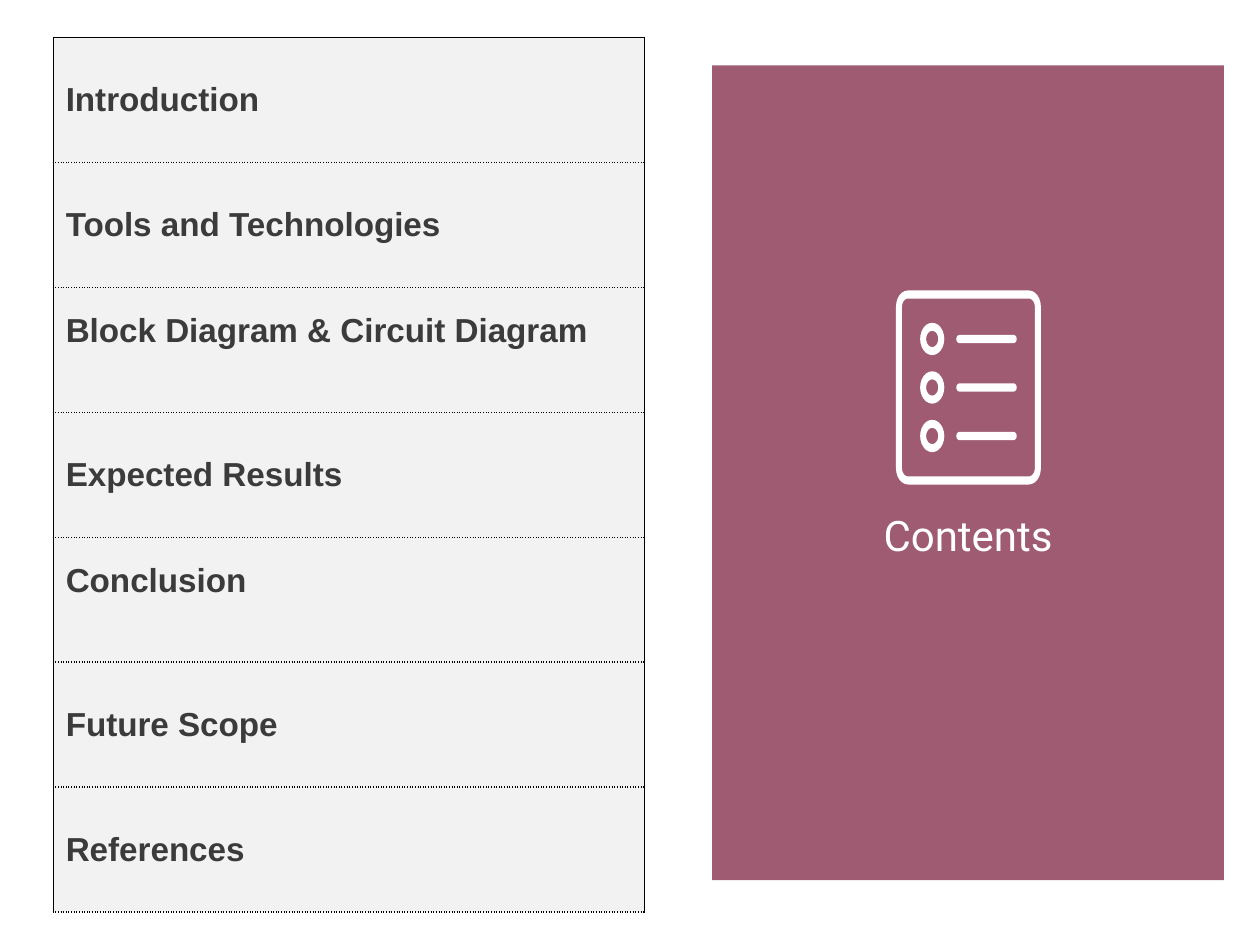
from math import cos, pi, sin

from lxml.etree import SubElement
from pptx import Presentation
from pptx.dml.color import RGBColor
from pptx.enum.shapes import MSO_SHAPE
from pptx.enum.text import MSO_ANCHOR, MSO_AUTO_SIZE, PP_ALIGN
from pptx.oxml import parse_xml
from pptx.oxml.ns import nsdecls, qn
from pptx.util import Pt

PLUM = RGBColor(0x9F, 0x5B, 0x72)
WHITE = RGBColor(0xFF, 0xFF, 0xFF)
PALE = RGBColor(0xF2, 0xF2, 0xF2)
DARK = RGBColor(0x3B, 0x3B, 0x3B)
BLACK = RGBColor(0, 0, 0)

TOPICS = [
    "Introduction",
    "Tools and Technologies",
    "Block Diagram & Circuit Diagram",
    "Expected Results",
    "Conclusion",
    "Future Scope",
    "References",
]
RAISED = {2, 4}  # rows whose text sits above the middle


def apply(obj, **vals):
    for key, val in vals.items():
        setattr(obj, key, val)


def oval_box(x, y, w, h, rx, ry):
    """Points of a box whose corners are quarter ellipses."""
    pts = []
    hubs = [(x + w - rx, y + h - ry), (x + rx, y + h - ry),
            (x + rx, y + ry), (x + w - rx, y + ry)]
    for turn, (cx, cy) in enumerate(hubs):
        for step in range(7):
            ang = (turn + step / 6) * pi / 2
            pts.append((cx + rx * cos(ang), cy + ry * sin(ang)))
    return pts


class Deck:
    label = dict(name="Arial", size=Pt(19), bold=True)
    head = dict(name="Roboto", size=Pt(24), bold=False)

    def __init__(self, wide, high):
        self.prs = Presentation()
        apply(self.prs, slide_width=Pt(wide), slide_height=Pt(high))
        self.slide = self.prs.slides.add_slide(self.prs.slide_layouts[5])
        self.shapes = self.slide.shapes

    def paint(self, shape, color):
        shape.shadow.inherit = False
        shape.fill.solid()
        shape.fill.fore_color.rgb = color
        shape.line.fill.background()

    def panel(self, x, y, w, h, color):
        box = self.shapes.add_shape(MSO_SHAPE.RECTANGLE, Pt(x), Pt(y), Pt(w), Pt(h))
        self.paint(box, color)

    def outline(self, color, *loops):
        """Fill the first loop; later loops are holes in it."""
        loops = [[(Pt(x), Pt(y)) for x, y in loop] for loop in loops]
        form = self.shapes.build_freeform(*loops[0][0])
        form.add_line_segments(loops[0][1:])
        for loop in loops[1:]:
            form.move_to(*loop[0])
            form.add_line_segments(loop[1:])
        self.paint(form.convert_to_shape(), color)

    def icon(self, x, y, w, h, color):
        """Draw a checklist on a grid of 24 by 24 units."""
        u, v = w / 24, h / 24

        def loop(cx, cy, cw, ch, r):
            return oval_box(x + cx * u, y + cy * v, cw * u, ch * v, r * u, r * v)

        self.outline(color, loop(0, 0, 24, 24, 2), loop(1, 1, 22, 22, 1))
        for mid in (6, 12, 18):
            self.outline(color, loop(4, mid - 2, 4, 4, 2), loop(5, mid - 1, 2, 2, 1))
            self.outline(color, loop(10, mid - 0.5, 10, 1, 0.5))

    def border(self, cell, first):
        props = cell._tc.get_or_add_tcPr()
        top = (0.75, "solid") if first else (1, "sysDot")
        sides = {"L": (0.75, "solid"), "R": (0.75, "solid"),
                 "T": top, "B": (1, "sysDot")}
        for spot, (side, (width, dash)) in enumerate(sides.items()):
            line = parse_xml(f'<a:ln{side} {nsdecls("a")} w="{Pt(width)}"/>')
            fill = SubElement(line, qn("a:solidFill"))
            SubElement(fill, qn("a:srgbClr")).set("val", str(BLACK))
            SubElement(line, qn("a:prstDash")).set("val", dash)
            props.insert(spot, line)

    def table(self, x, y, w, step, items):
        count = len(items)
        grid = self.shapes.add_table(count, 1, Pt(x), Pt(y), Pt(w), Pt(step * count)).table
        apply(grid, first_row=False, horz_banding=False)
        for num, item in enumerate(items):
            grid.rows[num].height = Pt(step)
            cell = grid.cell(num, 0)
            low = 30.5 if num in RAISED else 9.36
            apply(cell, text=item, vertical_anchor=MSO_ANCHOR.MIDDLE,
                  margin_left=Pt(7.2), margin_right=Pt(7.2),
                  margin_top=Pt(9.36), margin_bottom=Pt(low))
            cell.fill.solid()
            cell.fill.fore_color.rgb = PALE
            font = cell.text_frame.paragraphs[0].runs[0].font
            apply(font, **self.label)
            font.color.rgb = DARK
            self.border(cell, num == 0)

    def title(self, text, x, y, w, h):
        box = self.shapes.title
        apply(box, left=Pt(x), top=Pt(y), width=Pt(w), height=Pt(h))
        frame = box.text_frame
        apply(frame, text=text, word_wrap=True, auto_size=MSO_AUTO_SIZE.NONE,
              vertical_anchor=MSO_ANCHOR.MIDDLE, margin_left=0, margin_right=0,
              margin_top=0, margin_bottom=0)
        para = frame.paragraphs[0]
        para.alignment = PP_ALIGN.CENTER
        font = para.runs[0].font
        apply(font, **self.head)
        font.color.rgb = WHITE
        self.shapes.element.append(box.element)  # bring to front


def main():
    deck = Deck(720, 540)
    deck.panel(406.9, 37.3, 292.5, 465.7, PLUM)
    deck.table(30.4, 21.4, 337.7, 71.43, TOPICS)
    deck.icon(512, 166, 82.8, 110.88, WHITE)
    deck.title("Contents", 421.2, 291, 264, 28.8)
    deck.prs.save("out.pptx")


if __name__ == "__main__":
    main()
